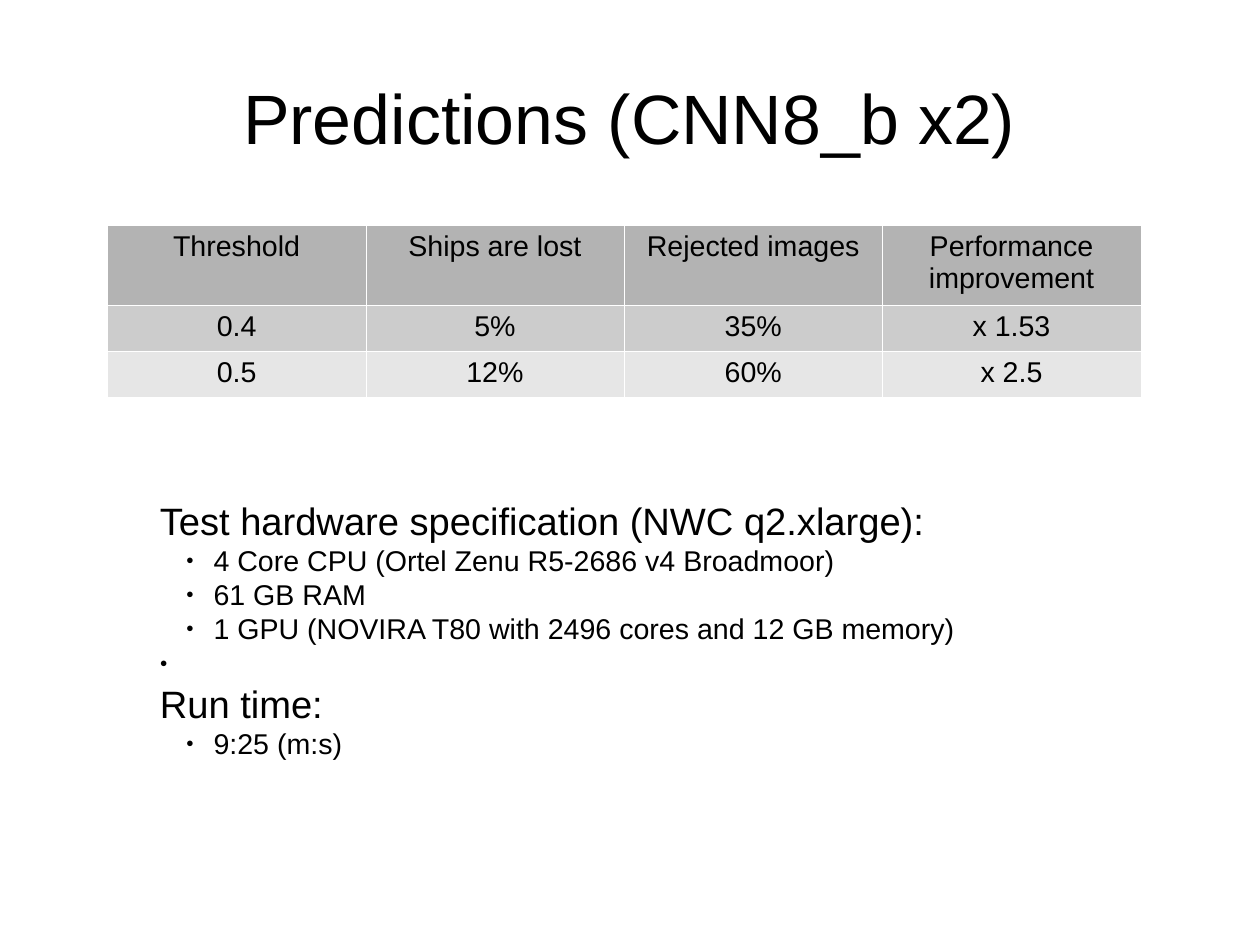
"""Build the slide with the prediction table and the test hardware list."""
from lxml.etree import SubElement as Sub
from pptx import Presentation
from pptx.dml.color import RGBColor
from pptx.enum.text import MSO_ANCHOR as Anchor, PP_ALIGN as Align
from pptx.oxml.ns import qn
from pptx.util import Inches, Pt

BLACK = RGBColor(0x00, 0x00, 0x00)
WHITE = RGBColor(0xFF, 0xFF, 0xFF)
SHADES = [RGBColor(tone, tone, tone) for tone in (0xB3, 0xCC, 0xE6)]

ROWS = [
    ("Threshold", "Ships are lost", "Rejected images", "Performance improvement"),
    ("0.4", "5%", "35%", "x 1.53"),
    ("0.5", "12%", "60%", "x 2.5"),
]
HEIGHTS = (0.66, 0.37, 0.37)
LINES = [
    ("Test hardware specification (NWC q2.xlarge):", 24, 0),
    ("4 Core CPU (Ortel Zenu R5\u20112686 v4 Broadmoor)", 18, 0.47),
    ("61 GB RAM", 18, 0.47),
    ("1 GPU (NOVIRA T80 with 2496 cores and 12 GB memory)", 18, 0.47),
    (" ", 18, 0.24),
    ("Run time:", 24, 0),
    ("9:25 (m:s)", 18, 0.47),
]


def write(para, text, size, align=Align.LEFT):
    """Put one black Arial run into a paragraph."""
    para.alignment = align
    run = para.add_run()
    run.text = text
    for key, value in {"name": "Arial", "size": Pt(size)}.items():
        setattr(run.font, key, value)
    run.font.color.rgb = BLACK


def add_box(left, top, width, height, form):
    """Add a wrapping text box and return its frame."""
    box = slide.shapes.add_textbox(*map(Inches, (left, top, width, height)))
    frame = box.text_frame
    for key, value in {"word_wrap": True, **form}.items():
        setattr(frame, key, value)
    return frame


deck = Presentation()
deck.slide_width, deck.slide_height = Inches(28 / 2.54), Inches(21 / 2.54)
slide = deck.slides.add_slide(deck.slide_layouts[6])
slide.background.fill.solid()
slide.background.fill.fore_color.rgb = WHITE

sides = ("margin_left", "margin_top", "margin_right", "margin_bottom")
form = {"vertical_anchor": Anchor.MIDDLE, **dict.fromkeys(sides, 0)}
title = add_box(0.55, 0.33, 9.92, 1.38, form)
write(title.paragraphs[0], "Predictions (CNN8_b x2)", 44, Align.CENTER)

place = map(Inches, (0.94, 1.97, 9.04, 1.15))
grid = slide.shapes.add_table(len(ROWS), len(ROWS[0]), *place)
for row, texts, height, shade in zip(grid.table.rows, ROWS, HEIGHTS, SHADES):
    row.height = Inches(height)
    for cell, text in zip(row.cells, texts):
        write(cell.text_frame.paragraphs[0], text, 18, Align.CENTER)
        props = cell._tc.get_or_add_tcPr()
        for edge in ("a:lnL", "a:lnR", "a:lnT", "a:lnB"):
            line = Sub(props, qn(edge), w=str(Pt(0.06)))
            Sub(Sub(line, qn("a:solidFill")), qn("a:srgbClr"), val=str(WHITE))
        cell.fill.solid()
        cell.fill.fore_color.rgb = shade
grid.height = Inches(1.15)

notes = add_box(1.3, 4.3, 8.3, 2.24, {"vertical_anchor": Anchor.TOP})
for rank, (text, size, indent) in enumerate(LINES):
    para = notes.add_paragraph() if rank else notes.paragraphs[0]
    write(para, text, size)
    if indent:
        para.level = int(indent > 0.24)
        props = para._p.get_or_add_pPr()
        props.set("marL", str(Inches(indent)))
        props.set("indent", str(Inches(-0.24)))
        Sub(Sub(props, qn("a:buClr")), qn("a:srgbClr"), val=str(BLACK))
        Sub(props, qn("a:buSzPct"), val="45000")
        Sub(props, qn("a:buFont"), typeface="Arial")
        Sub(props, qn("a:buChar"), char="\u25cf")

deck.save("out.pptx")
